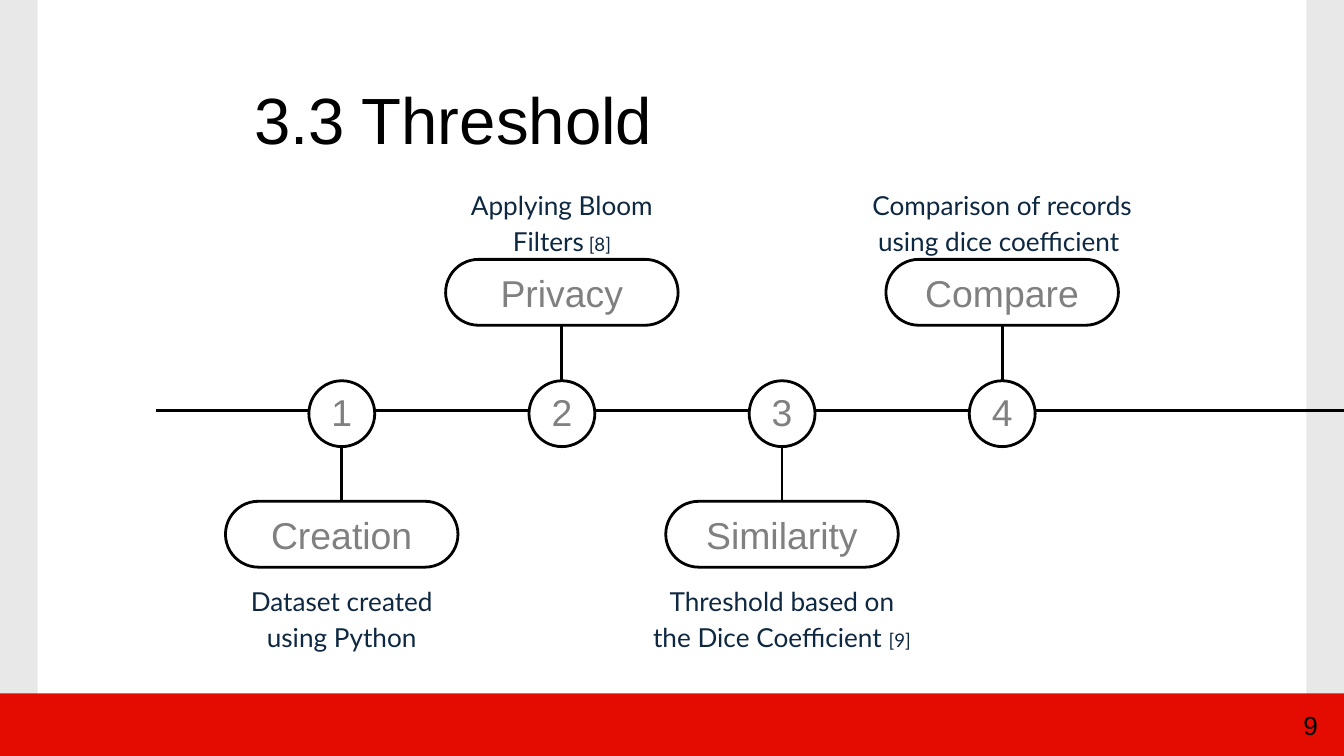
from lxml import etree
from pptx import Presentation
from pptx.dml.color import RGBColor
from pptx.enum.shapes import MSO_CONNECTOR, MSO_SHAPE
from pptx.enum.text import MSO_ANCHOR, MSO_AUTO_SIZE, PP_ALIGN
from pptx.oxml.ns import qn
from pptx.util import Inches, Pt

RECT, PILL, OVAL = MSO_SHAPE.RECTANGLE, MSO_SHAPE.ROUNDED_RECTANGLE, MSO_SHAPE.OVAL
LINE = MSO_CONNECTOR.STRAIGHT
LEFT, CENTER = PP_ALIGN.LEFT, PP_ALIGN.CENTER
TOP, MIDDLE = MSO_ANCHOR.TOP, MSO_ANCHOR.MIDDLE
FIXED, GROW = MSO_AUTO_SIZE.NONE, MSO_AUTO_SIZE.SHAPE_TO_FIT_TEXT
WIDTH = Inches(10)
HEIGHT = WIDTH * 9 // 16
COLS, ROWS = 100, 56.25
BLACK, GRAY, NAVY = "000000", "808080", "0E2841"
WHITE, RED, PALE = "FFFFFF", "E40B00", "E8E8E8"

AXIS = 30.52
FIRST, STEP = 25.43, 16.38
NODE, NODE_TOP = 4.9, 28.33
PILL_W, PILL_H = 17.3, 4.9
STEPS = [
    ("Creation", [("Dataset created using Python", 14)], 19.9),
    ("Privacy", [("Applying Bloom Filters", 14), (" [8]", 10)], 19.9),
    ("Similarity", [("Threshold based on the Dice Coefficient ", 14), ("[9]", 10)], 21.4),
    ("Compare", [("Comparison of records using dice coefficient ", 14)], 22.4),
]


def rgb(code):
    return RGBColor.from_string(code)


def write(shape, runs, font="Arial", color=BLACK, align=CENTER, anchor=TOP,
          pad=(0.1, 0.1, 0.1, 0.1), space=1, wrap=True, fit=FIXED):
    """Fill a shape with one paragraph of (text, size) runs."""
    frame = shape.text_frame
    frame.word_wrap, frame.auto_size, frame.vertical_anchor = wrap, fit, anchor
    frame.margin_left, frame.margin_top, frame.margin_right, frame.margin_bottom = map(Inches, pad)
    para = frame.paragraphs[0]
    para.alignment, para.line_spacing = align, space
    for text, size in runs:
        run = para.add_run()
        run.text = text
        run.font.name, run.font.size = font, Pt(size)
        run.font.color.rgb = rgb(color)


class Page:
    """Draws on one slide, with lengths in columns and rows of a grid."""

    def __init__(self, deck):
        self.slide = deck.slides.add_slide(deck.slide_layouts[5])
        self.shapes = self.slide.shapes
        self.ink, self.weight = BLACK, Pt(1.5)

    def box(self, x, y, w, h):
        col, row = WIDTH / COLS, HEIGHT / ROWS
        return [round(n) for n in (x * col, y * row, w * col, h * row)]

    def title(self, text, *place):
        shape = self.shapes.title
        shape.left, shape.top, shape.width, shape.height = self.box(*place)
        write(shape, [(text, 35)], align=LEFT, pad=(1.1, 0.1, 0.1, 0.1))

    def shape(self, kind, *place, fill=None, edge=True):
        shape = self.shapes.add_shape(kind, *self.box(*place))
        shape.shadow.inherit = False
        if fill:
            shape.fill.solid()
            shape.fill.fore_color.rgb = rgb(fill)
        else:
            shape.fill.background()
        if edge:
            shape.line.color.rgb = rgb(self.ink)
            shape.line.width = self.weight
        else:
            shape.line.fill.background()
        return shape

    def text(self, runs, *place, **style):
        write(self.shapes.add_textbox(*self.box(*place)), runs, **style)

    def line(self, *ends):
        line = self.shapes.add_connector(LINE, *self.box(*ends))
        line.line.color.rgb = rgb(self.ink)
        line.line.width = self.weight
        etree.SubElement(line._element.spPr, qn("a:effectLst"))

    def step(self, index, name, note, wide):
        mid = FIRST + index * STEP
        below = index % 2 == 0
        top = 37.3 if below else 19.3
        pill = self.shape(PILL, mid - PILL_W / 2, top, PILL_W, PILL_H)
        pill.adjustments[0] = 0.5
        write(pill, [(name, 20)], color=GRAY, anchor=MIDDLE)
        start, end = (NODE_TOP + NODE, top) if below else (top + PILL_H, NODE_TOP)
        self.line(mid, start, mid, end)
        left = mid - NODE / 2
        self.shape(OVAL, left, NODE_TOP, NODE, NODE, fill=WHITE)
        self.text([(str(index + 1), 20)], left, 28.9, NODE, 3.4, color=GRAY, anchor=MIDDLE)
        y, tall = (42.2, 7.8) if below else (12.75, 6.6)
        self.text(note, mid - wide / 2, y, wide, tall, font="Lato", color=NAVY, space=1.15)


def main():
    deck = Presentation()
    deck.slide_width, deck.slide_height = WIDTH, HEIGHT
    page = Page(deck)
    for x in (97.2, 0):
        page.shape(RECT, x, 0, 2.8, ROWS, fill=PALE, edge=False)
    page.title("3.3 Threshold", 7.9, 4.9, 84.3, 6.3)
    page.shape(RECT, -0.2, 51.6, 100.4, 4.9, fill=RED, edge=False)
    page.text([("9", 14)], 96, 52.3, 3.1, 3.4, align=LEFT,
              pad=(0.1, 0.05, 0.1, 0.05), wrap=False, fit=GROW)
    page.line(11.6, AXIS, 100.4, AXIS)
    for index, step in enumerate(STEPS):
        page.step(index, *step)
    deck.save("out.pptx")


if __name__ == "__main__":
    main()
